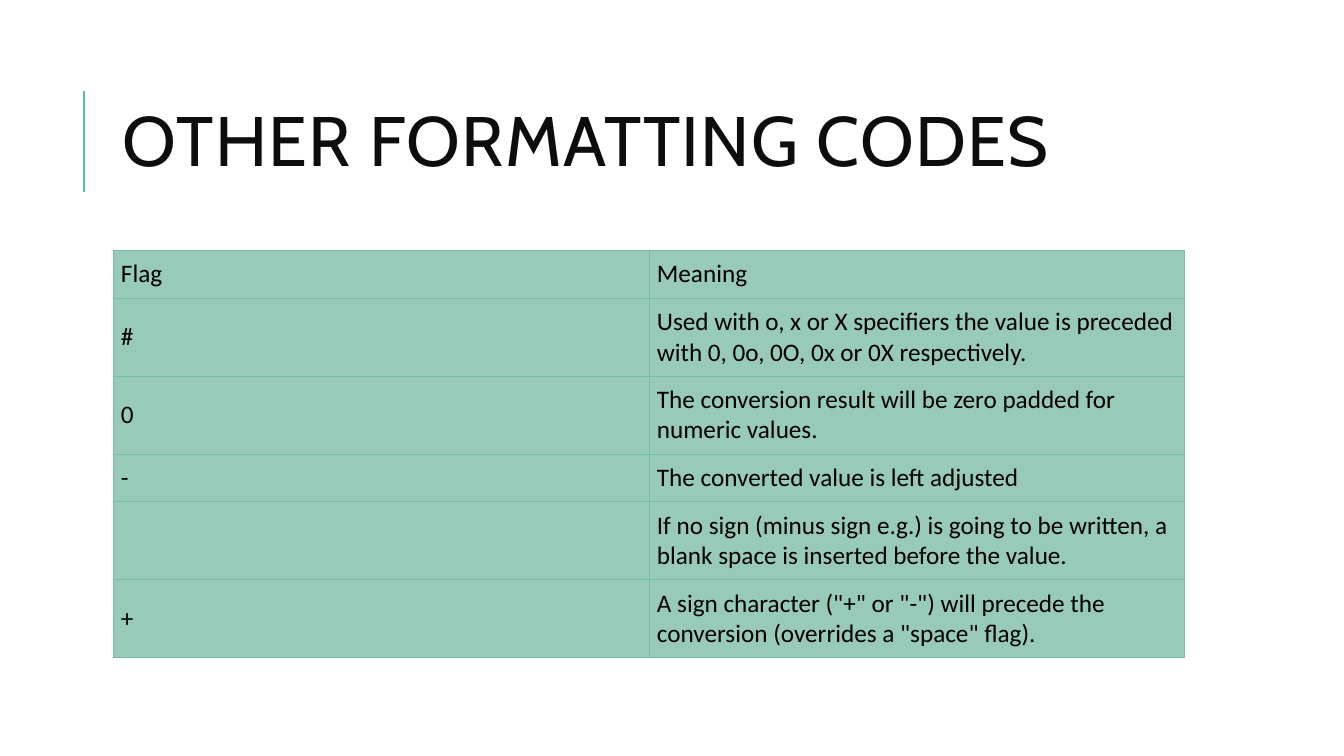
from dataclasses import dataclass

from lxml import etree
from pptx import Presentation
from pptx.dml.color import RGBColor
from pptx.enum.shapes import MSO_CONNECTOR
from pptx.enum.text import MSO_ANCHOR
from pptx.oxml.ns import qn
from pptx.util import Emu, Pt

MIDDLE = MSO_ANCHOR.MIDDLE
STRAIGHT = MSO_CONNECTOR.STRAIGHT
SCALE = 914400 / 100.8
BLANK = 6
LEFT, WIDTH = 113, 1072
SIDES = ("a:lnL", "a:lnR", "a:lnT", "a:lnB")


@dataclass
class Style:
    face: str
    size: int
    color: str


@dataclass
class Row:
    flag: str
    meaning: str
    height: int


TITLE = Style("Cabin", 50, "0D0D0D")
BODY = Style("Calibri", 18, "000000")
ROWS = [
    Row("Flag", "Meaning", 48),
    Row("#", "Used with o, x or X specifiers the value is preceded with 0, 0o, 0O, 0x or 0X respectively.", 78),
    Row("0", "The conversion result will be zero padded for numeric values.", 78),
    Row("-", "The converted value is left adjusted", 48),
    Row("", "If no sign (minus sign e.g.) is going to be written, a blank space is inserted before the value.", 78),
    Row("+", 'A sign character ("+" or "-") will precede the conversion (overrides a "space" flag).', 78),
]


def px(value: int) -> Emu:
    return Emu(round(value * SCALE))


def rgb(code: str) -> RGBColor:
    return RGBColor.from_string(code)


def add_run(para, text: str, style: Style):
    run = para.add_run()
    run.text = text
    run.font.name = style.face
    run.font.size = Pt(style.size)
    run.font.color.rgb = rgb(style.color)
    return run


def add_rule(slide) -> None:
    rule = slide.shapes.add_connector(STRAIGHT, px(84), px(192), px(84), px(91))
    rule.line.color.rgb = rgb("58B6C0")
    rule.line.width = Pt(1.5)
    etree.SubElement(rule._element.spPr, qn("a:effectLst"))


def add_title(slide) -> None:
    box = slide.shapes.add_textbox(px(LEFT), px(64), px(WIDTH), px(165))
    frame = box.text_frame
    frame.word_wrap = True
    frame.vertical_anchor = MIDDLE
    para = frame.paragraphs[0]
    para.line_spacing = 0.8
    run = add_run(para, "OTHER FORMATTING CODES", TITLE)
    run.font._element.set("spc", "100")


def add_edges(cell, color: str, width: int) -> None:
    props = cell._tc.get_or_add_tcPr()
    for spot, side in enumerate(SIDES):
        edge = etree.Element(qn(side), w=str(width))
        fill = etree.SubElement(edge, qn("a:solidFill"))
        etree.SubElement(fill, qn("a:srgbClr"), val=color)
        props.insert(spot, edge)


def fill_cell(cell, text: str) -> None:
    cell.margin_left = cell.margin_right = px(8)
    cell.margin_top = cell.margin_bottom = px(8)
    cell.vertical_anchor = MIDDLE
    cell.fill.solid()
    cell.fill.fore_color.rgb = rgb("98CAB9")
    add_edges(cell, "75BDA7", Pt(0.75))
    if text:
        add_run(cell.text_frame.paragraphs[0], text, BODY)


def add_flags(slide) -> None:
    height = sum(row.height for row in ROWS)
    frame = slide.shapes.add_table(len(ROWS), 2, px(LEFT), px(250), px(WIDTH), px(height))
    table = frame.table
    table.first_row = False
    table.horz_banding = False
    for col in table.columns:
        col.width = px(WIDTH // 2)
    for spot, row in enumerate(ROWS):
        table.rows[spot].height = px(row.height)
        for col, text in enumerate((row.flag, row.meaning)):
            fill_cell(table.cell(spot, col), text)


def main() -> None:
    deck = Presentation()
    deck.slide_width = px(1344)
    deck.slide_height = px(756)
    slide = deck.slides.add_slide(deck.slide_layouts[BLANK])
    add_rule(slide)
    add_flags(slide)
    add_title(slide)
    deck.save("out.pptx")


if __name__ == "__main__":
    main()
